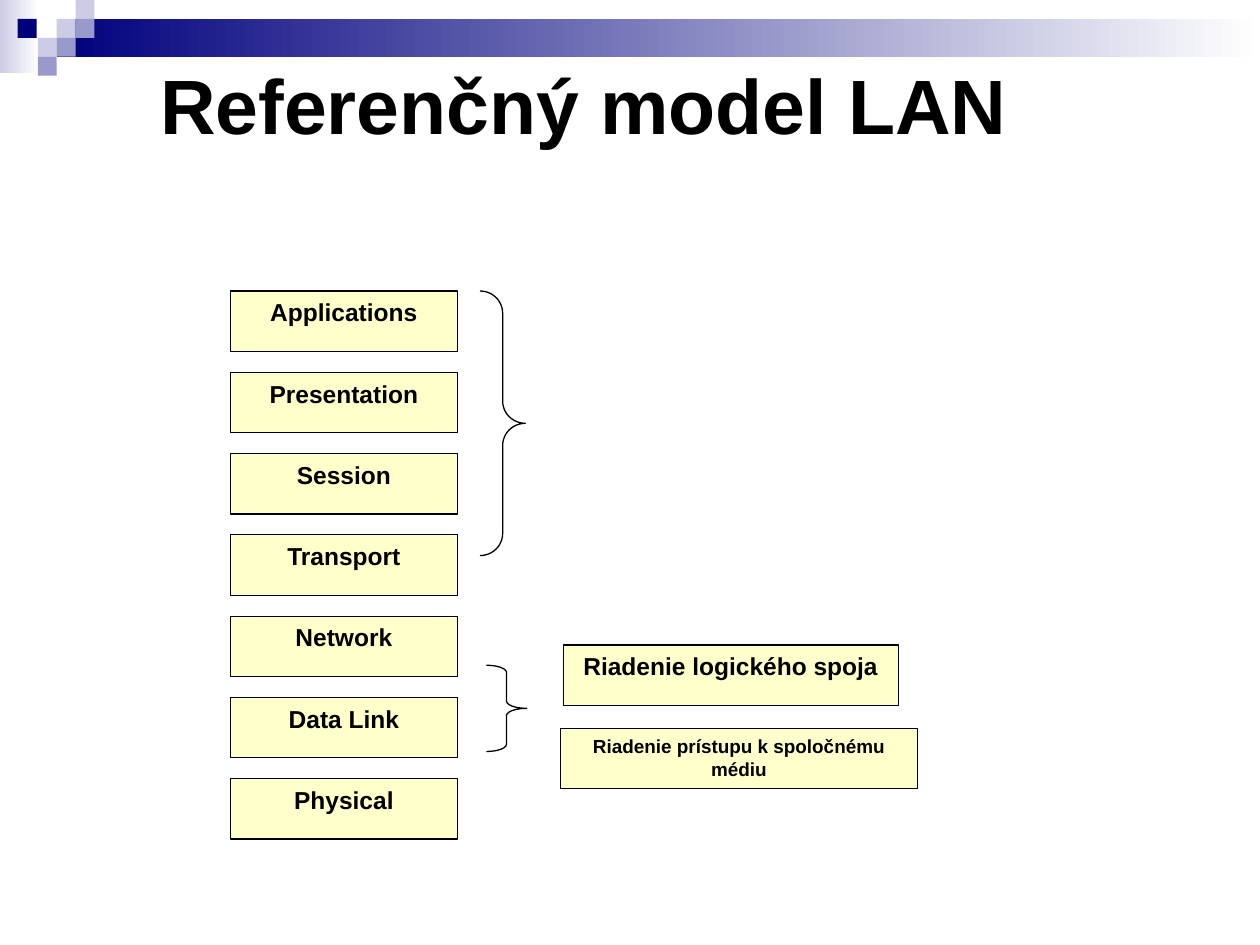
from pptx import Presentation
from pptx.dml.color import RGBColor
from pptx.enum.shapes import MSO_SHAPE as Shape
from pptx.enum.text import MSO_ANCHOR as Anchor, MSO_AUTO_SIZE as AutoSize, PP_ALIGN as Align
from pptx.util import Inches, Pt

BLACK = RGBColor(0x00, 0x00, 0x00)
WHITE = RGBColor(0xFF, 0xFF, 0xFF)
NAVY = RGBColor(0x00, 0x00, 0x7D)
LAVENDER = RGBColor(0xCC, 0xCC, 0xE6)
PERIWINKLE = RGBColor(0x99, 0x99, 0xCC)
CREAM = RGBColor(0xFF, 0xFF, 0xCC)


class SlideBuilder:
    """Places elements on a grid of 100 columns and 75 rows."""
    columns, rows = 100, 75
    line_width = Pt(0.75)
    font_format = {"name": "Arial", "bold": True}

    def __init__(self, deck):
        self.column = deck.slide_width / self.columns
        self.row = deck.slide_height / self.rows
        self.page = deck.slides.add_slide(deck.slide_layouts[5])

    def place(self, left, top, width, height):
        return (round(left * self.column), round(top * self.row),
                round(width * self.column), round(height * self.row))

    def shape(self, kind, area):
        shape = self.page.shapes.add_shape(kind, *self.place(*area))
        shape.shadow.inherit = False
        return shape

    def outline(self, shape):
        shape.line.color.rgb = BLACK
        shape.line.width = self.line_width

    def label(self, shape, text, size, align, anchor):
        frame = shape.text_frame
        frame_format = {"word_wrap": True, "auto_size": AutoSize.NONE,
                        "vertical_anchor": anchor}
        for name, value in frame_format.items():
            setattr(frame, name, value)
        para = frame.paragraphs[0]
        para.alignment = align
        span = para.add_run()
        span.text = text
        for name, value in {**self.font_format, "size": Pt(size)}.items():
            setattr(span.font, name, value)
        span.font.color.rgb = BLACK

    def block(self, area, color):
        block = self.shape(Shape.RECTANGLE, area)
        block.fill.solid()
        block.fill.fore_color.rgb = color
        block.line.fill.background()

    def fade(self, area, color):
        bar = self.shape(Shape.RECTANGLE, area)
        bar.fill.gradient()
        bar.fill.gradient_angle = 0
        for stop, position, tint in zip(bar.fill.gradient_stops, (0, 1), (color, WHITE)):
            stop.position = position
            stop.color.rgb = tint
        bar.line.fill.background()

    def box(self, area, text, size=14):
        box = self.shape(Shape.RECTANGLE, area)
        box.fill.solid()
        box.fill.fore_color.rgb = CREAM
        self.outline(box)
        self.label(box, text, size, Align.CENTER, Anchor.TOP)

    def brace(self, area, curve):
        brace = self.shape(Shape.RIGHT_BRACE, area)
        brace.adjustments[0] = curve
        brace.fill.background()
        self.outline(brace)

    def title(self, area, text):
        title = self.page.shapes.title
        title.left, title.top, title.width, title.height = self.place(*area)
        self.label(title, text, 44, Align.LEFT, Anchor.MIDDLE)


def main():
    deck = Presentation()
    deck.slide_width, deck.slide_height = Inches(10), Inches(7.5)
    slide = SlideBuilder(deck)

    # Header bands and their checkered squares
    slide.fade((0, 0, 3.1, 5.8), LAVENDER)
    slide.fade((4.5, 1.5, 95.5, 3), NAVY)
    squares = [(4.5, 1.5, LAVENDER), (6, 0, LAVENDER), (6, 1.5, PERIWINKLE),
               (3, 3, LAVENDER), (1.4, 1.5, NAVY), (4.5, 3, PERIWINKLE),
               (3, 4.5, PERIWINKLE)]
    for left, top, color in squares:
        slide.block((left, top, 1.5, 1.5), color)

    # Stack of layers, one at each equal step
    layers = ["Applications", "Presentation", "Session", "Transport",
              "Network", "Data Link", "Physical"]
    for level, layer in enumerate(layers):
        slide.box((18.3, 23.1 + 6.45 * level, 18, 4.8), layer)

    # Braces for the upper layers and for the data link
    slide.brace((38.1, 23.1, 3.6, 21), 0.49)
    slide.brace((38.6, 52.8, 3.2, 6.85), 0.18)

    # Sublayers of the data link
    slide.box((44.7, 51.2, 26.6, 4.8), "Riadenie logického spoja")
    slide.box((44.5, 57.8, 28.3, 4.8), "Riadenie prístupu k spoločnému médiu", 10.8)

    slide.title((11.7, 4.5, 81.5, 7.5), "Referenčný model LAN")
    deck.save("out.pptx")


if __name__ == "__main__":
    main()
